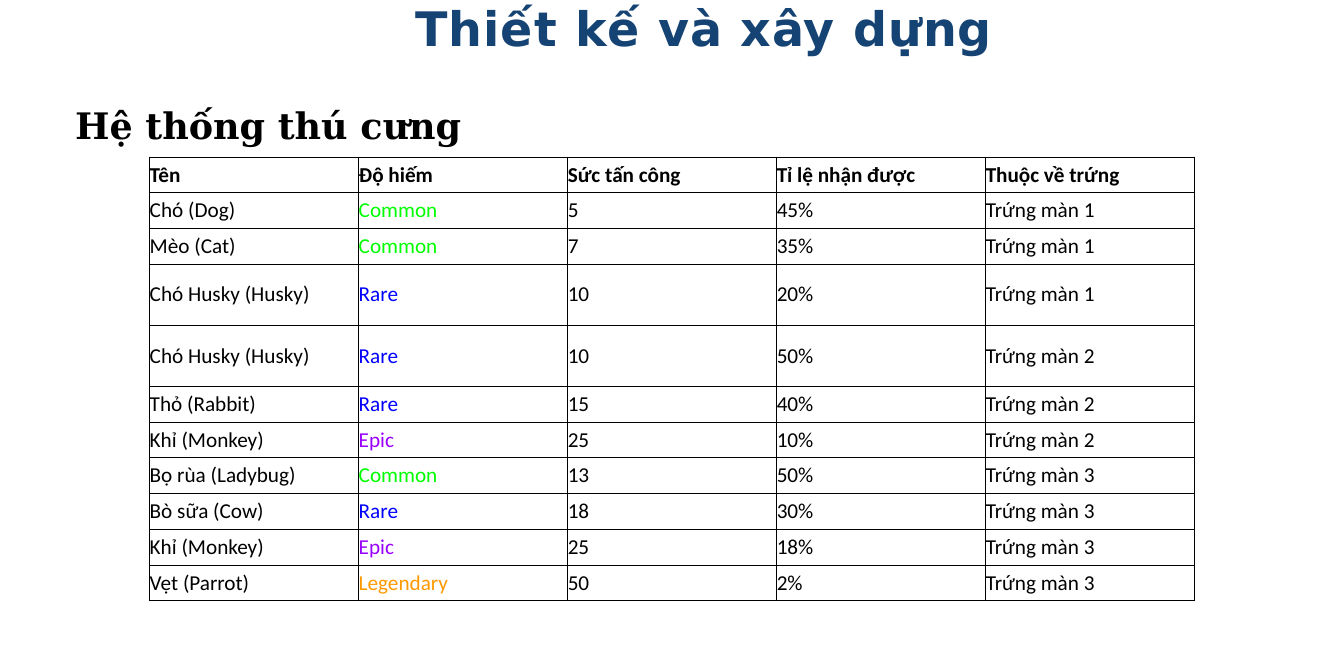
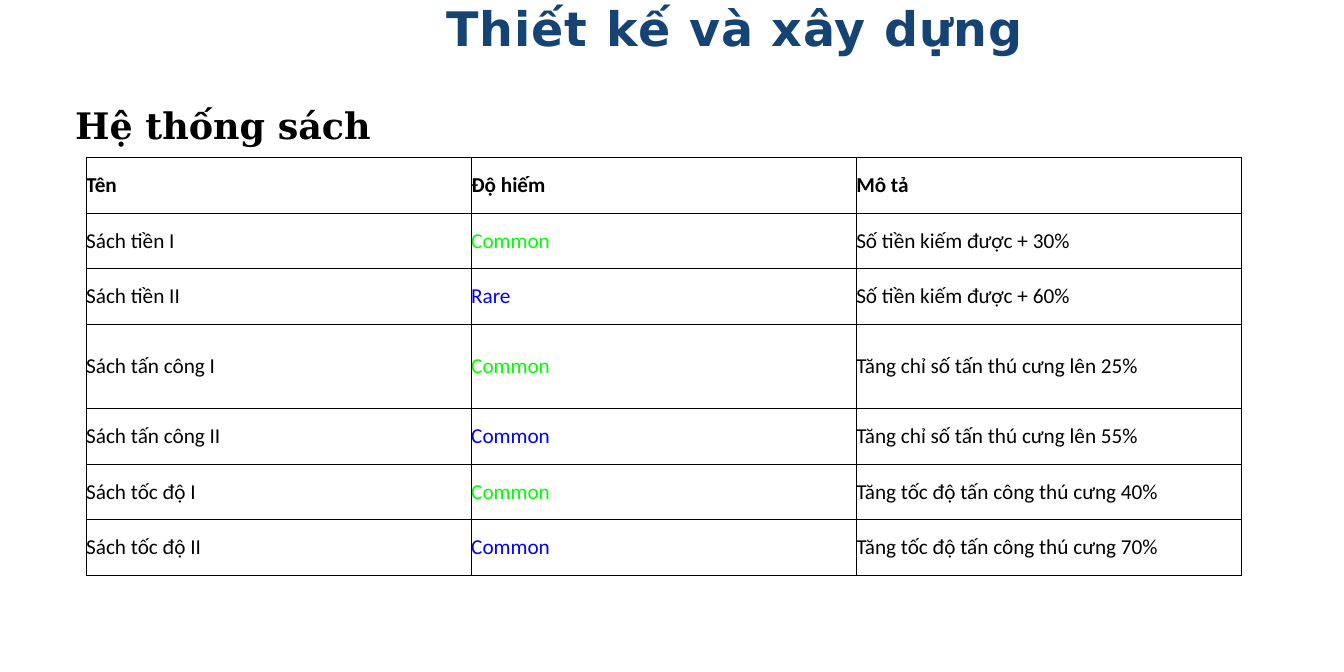
from lxml import etree
from pptx import Presentation
from pptx import util as u
from pptx.dml.color import RGBColor
from pptx.enum import text
from pptx.oxml import ns

HUES = {
    "title": "154374",
    "ink": "000000",
    "paper": "FFFFFF",
    "Common": "00FF00",
    "Rare": "0000FF",
    "Epic": "9900FF",
    "Legendary": "FF9900",
}


class Deck:
    head_font, sub_font, cell_font = "DejaVu Sans", "DejaVu Serif", "Calibri"

    def __init__(self, wide, high):
        self.show = Presentation()
        self.show.slide_width = u.Inches(wide)
        self.show.slide_height = u.Inches(high)
        self.slide = None

    def run(self, para, words, font, size, hue, bold=False):
        run = para.add_run()
        run.text = words
        run.font.name = font
        run.font.size = u.Pt(size)
        run.font.bold = bold
        run.font.color.rgb = RGBColor.from_string(HUES[hue])
        return run

    def frame(self, shape, lead, align):
        frame = shape.text_frame
        frame.word_wrap = True
        frame.auto_size = text.MSO_AUTO_SIZE.NONE
        frame.vertical_anchor = text.MSO_ANCHOR.TOP
        frame.margin_left = frame.margin_right = 0
        frame.margin_top = frame.margin_bottom = 0
        para = frame.paragraphs[0]
        para.alignment = align
        para.line_spacing = u.Pt(lead)
        para.space_before = u.Pt(0)
        return para

    def title(self, words, wide):
        self.slide = self.show.slides.add_slide(self.show.slide_layouts[5])
        shape = self.slide.shapes.title
        shape.left, shape.top = u.Inches(6.27), u.Inches(-0.01)
        shape.width, shape.height = u.Inches(wide), u.Inches(0.94)
        para = self.frame(shape, 67.2, text.PP_ALIGN.CENTER)
        run = self.run(para, words, self.head_font, 56, "title", True)
        run.font._element.set("spc", "110")

    def heading(self, words, wide):
        box = self.slide.shapes.add_textbox(
            u.Inches(1.23), u.Inches(1.56), u.Inches(wide), u.Inches(0.82))
        para = self.frame(box, 60.2, text.PP_ALIGN.LEFT)
        self.run(para, words, self.sub_font, 43, "ink", True)

    def border(self, cell):
        props = cell._tc.get_or_add_tcPr()
        for side in ("a:lnL", "a:lnR", "a:lnT", "a:lnB"):
            line = etree.SubElement(props, ns.qn(side), w=str(u.Pt(1)))
            fill = etree.SubElement(line, ns.qn("a:solidFill"))
            etree.SubElement(fill, ns.qn("a:srgbClr"), val=HUES["ink"])

    def cell(self, cell, words, hue, bold):
        self.border(cell)
        cell.fill.solid()
        cell.fill.fore_color.rgb = RGBColor.from_string(HUES["paper"])
        cell.margin_left = cell.margin_right = 0
        cell.margin_top = cell.margin_bottom = 0
        cell.vertical_anchor = text.MSO_ANCHOR.MIDDLE
        self.run(cell.text_frame.paragraphs[0], words, self.cell_font, 25, hue, bold)

    def table(self, rows, tiers, left, top, wide, short, tall, tall_rows):
        highs = [tall if i in tall_rows else short for i in range(len(rows))]
        count = len(rows[0])
        grid = self.slide.shapes.add_table(
            len(rows), count, u.Inches(left), u.Inches(top),
            u.Inches(wide), u.Inches(sum(highs))).table
        grid.first_row = grid.horz_banding = False
        for col in grid.columns:
            col.width = u.Inches(wide / count)
        for i, (row, high) in enumerate(zip(rows, highs)):
            grid.rows[i].height = u.Inches(high)
            for j, words in enumerate(row):
                hue = tiers[i - 1] if i and j == 1 else "ink"
                self.cell(grid.cell(i, j), words, hue, i == 0)


PETS = [
    ("Tên", "Độ hiếm", "Sức tấn công", "Tỉ lệ nhận được", "Thuộc về trứng"),
    ("Chó (Dog)", "Common", "5", "45%", "Trứng màn 1"),
    ("Mèo (Cat)", "Common", "7", "35%", "Trứng màn 1"),
    ("Chó Husky (Husky)", "Rare", "10", "20%", "Trứng màn 1"),
    ("Chó Husky (Husky)", "Rare", "10", "50%", "Trứng màn 2"),
    ("Thỏ (Rabbit)", "Rare", "15", "40%", "Trứng màn 2"),
    ("Khỉ (Monkey)", "Epic", "25", "10%", "Trứng màn 2"),
    ("Bọ rùa (Ladybug)", "Common", "13", "50%", "Trứng màn 3"),
    ("Bò sữa (Cow)", "Rare", "18", "30%", "Trứng màn 3"),
    ("Khỉ (Monkey)", "Epic", "25", "18%", "Trứng màn 3"),
    ("Vẹt (Parrot)", "Legendary", "50", "2%", "Trứng màn 3"),
]

BOOKS = [
    ("Tên", "Độ hiếm", "Mô tả"),
    ("Sách tiền I", "Common", "Số tiền kiếm được + 30%"),
    ("Sách tiền II", "Rare", "Số tiền kiếm được + 60%"),
    ("Sách tấn công I", "Common", "Tăng chỉ số tấn thú cưng lên 25%"),
    ("Sách tấn công II", "Common", "Tăng chỉ số tấn thú cưng lên 55%"),
    ("Sách tốc độ I", "Common", "Tăng tốc độ tấn công thú cưng 40%"),
    ("Sách tốc độ II", "Common", "Tăng tốc độ tấn công thú cưng 70%"),
]

TITLE = "Thiết kế và xây dựng"


def main():
    deck = Deck(21.99, 11)

    deck.title(TITLE, 10.5)
    deck.heading("Hệ thống thú cưng", 9.21)
    deck.table(PETS, [pet[1] for pet in PETS[1:]], 2.45, 2.57, 17.1, 0.585, 1, (3, 4))

    deck.title(TITLE, 11.51)
    deck.heading("Hệ thống sách", 6.45)
    deck.table(BOOKS, ["Common", "Rare"] * 3, 1.41, 2.58, 18.9, 0.91, 1.38, (3,))

    deck.show.save("out.pptx")


if __name__ == "__main__":
    main()
